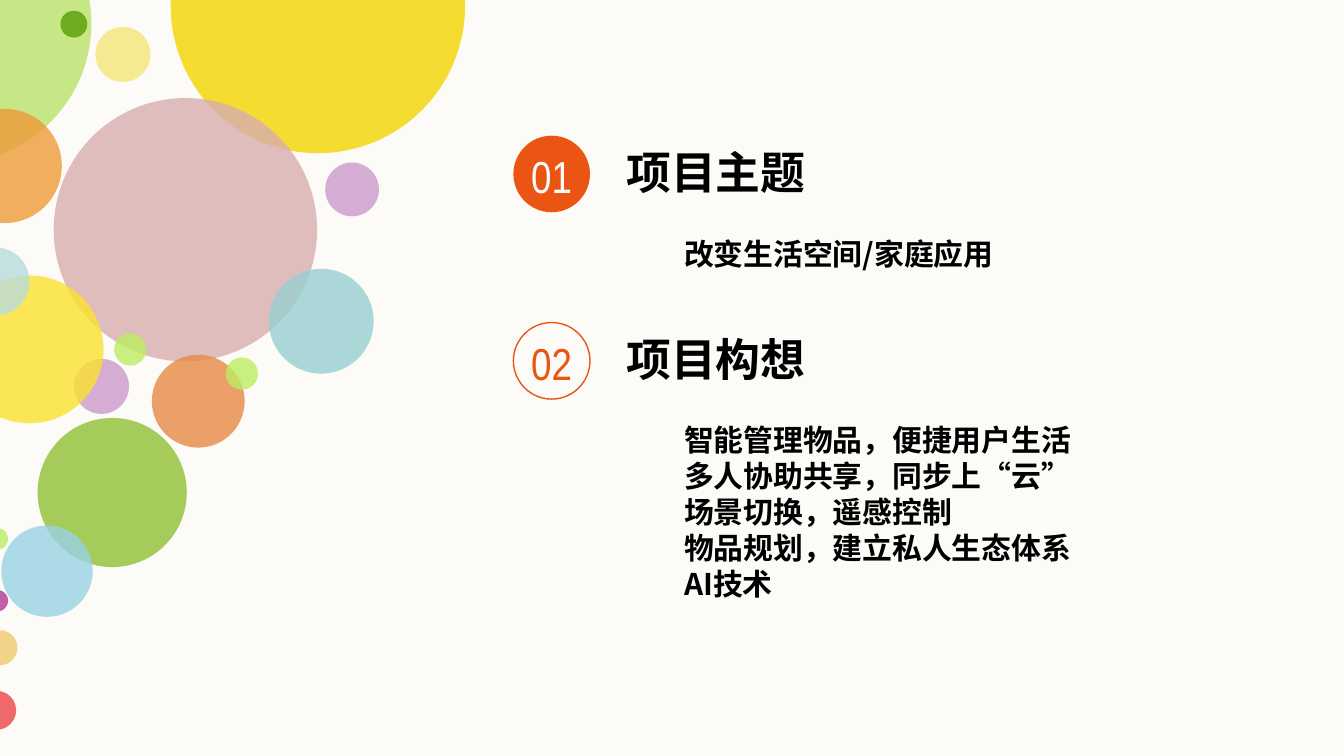
from pptx import Presentation
from pptx import util as u
from pptx.dml.color import RGBColor
from pptx.enum import shapes, text
from pptx.oxml.ns import qn
from lxml import etree

PAPER = RGBColor(0xFC, 0xFB, 0xF7)
INK = RGBColor(0, 0, 0)
ACCENT = RGBColor(0xEA, 0x55, 0x14)
LIME = RGBColor(0xBC, 0xED, 0x61)
LILAC = RGBColor(0xCB, 0x99, 0xCC)

CJK_FONT = "Noto Sans CJK SC"
NUMBER_FONT = "Arial Narrow"
WIDTH = u.Inches(10)
HEIGHT = WIDTH * 9 // 16
BADGE = 0.57
SECTION_LEFT, SECTION_TOP, SECTION_PITCH = 3.82, 1.01, 1.39

# Left, top, diameter (inches), colour, opacity (%), from back to front
BUBBLES = [
    (-1.39, -0.86, 2.07, RGBColor(0xBA, 0xE3, 0x6B), 80),
    (0.45, 0.08, 0.2, RGBColor(0x6E, 0xAB, 0x1F), 100),
    (-0.39, 0.81, 0.85, RGBColor(0xED, 0x9B, 0x38), 80),
    (0.71, 0.2, 0.41, RGBColor(0xF5, 0xEA, 0x91), 100),
    (1.27, -1.05, 2.19, RGBColor(0xF4, 0xD5, 0x00), 80),
    (0.4, 0.73, 1.96, RGBColor(0xD8, 0xAE, 0xAF), 80),
    (2, 2, 0.78, RGBColor(0x99, 0xCE, 0xD2), 80),
    (2.42, 1.21, 0.4, LILAC, 80),
    (1.13, 2.64, 0.69, RGBColor(0xE7, 0x8A, 0x47), 80),
    (0.28, 3.11, 1.11, RGBColor(0xA5, 0xCB, 0x5A), 100),
    (1.68, 2.66, 0.24, LIME, 80),
    (0.85, 2.48, 0.24, LIME, 80),
    (0.55, 2.67, 0.41, LILAC, 80),
    (-0.33, 2.05, 1.1, RGBColor(0xFB, 0xE2, 0x2D), 80),
    (-0.1, 3.93, 0.16, LIME, 80),
    (-0.1, 4.39, 0.16, RGBColor(0xB0, 0x38, 0x96), 80),
    (-0.13, 4.69, 0.26, RGBColor(0xF0, 0xCA, 0x6C), 80),
    (-0.17, 5.14, 0.29, RGBColor(0xEB, 0x45, 0x44), 80),
    (-0.29, 1.84, 0.51, RGBColor(0xB9, 0xDB, 0xDD), 80),
    (0.01, 3.91, 0.68, RGBColor(0x98, 0xD2, 0xE3), 80),
]

# Number, heading, lines, filled badge, heading and body placeholder indexes
SECTIONS = [
    ("01", "项目主题", ["改变生活空间/家庭应用"], True, 0, 2),
    ("02", "项目构想", ["智能管理物品，便捷用户生活", "多人协助共享，同步上“云”",
                    "场景切换，遥感控制", "物品规划，建立私人生态体系", "AI技术"], False, 1, 4),
]


def add_circle(page, left, top, size):
    circle = page.shapes.add_shape(
        shapes.MSO_SHAPE.OVAL, *map(u.Inches, (left, top, size, size)))
    circle.shadow.inherit = False
    circle.line.fill.background()
    return circle


def add_bubbles(page):
    for left, top, size, colour, opacity in BUBBLES:
        bubble = add_circle(page, left, top, size)
        bubble.fill.solid()
        bubble.fill.fore_color.rgb = colour
        if opacity < 100:
            tint = bubble.element.spPr.find(".//" + qn("a:srgbClr"))
            etree.SubElement(tint, qn("a:alpha"), val=str(opacity * 1000))


def place(box, left, top, width, height):
    box.left, box.top, box.width, box.height = map(u.Inches, (left, top, width, height))


def write(box, lines, size, inset=0.0):
    """Fill a placeholder with plain bold lines, without bullets."""
    frame = box.text_frame
    frame.word_wrap = True
    frame.auto_size = text.MSO_AUTO_SIZE.NONE
    frame.vertical_anchor = text.MSO_ANCHOR.TOP
    frame.margin_left = frame.margin_right = u.Inches(inset)
    frame.margin_top = frame.margin_bottom = u.Inches(inset / 2)
    frame.text = "\n".join(lines)
    for para in frame.paragraphs:
        para.alignment = text.PP_ALIGN.LEFT
        para.space_before = para.space_after = u.Pt(0)
        para.line_spacing = u.Pt(size * 1.2)
        font = para.font
        font.size, font.bold, font.name = u.Pt(size), True, CJK_FONT
        font.color.rgb = INK
        props = para._p.get_or_add_pPr()
        props.set("marL", "0")
        props.set("indent", "0")
        defaults = props.find(qn("a:defRPr"))
        etree.SubElement(defaults, qn("a:ea"), typeface=CJK_FONT)
        defaults.addprevious(etree.Element(qn("a:buNone")))


def add_badge(page, left, top, number, filled):
    badge = add_circle(page, left, top, BADGE)
    if filled:
        badge.fill.solid()
        badge.fill.fore_color.rgb = ACCENT
    else:
        badge.fill.background()
        badge.line.color.rgb = ACCENT
        badge.line.width = u.Pt(0.75)
    label = page.shapes.add_textbox(*map(u.Inches, (left, top + 0.1, BADGE, 0.4)))
    frame = label.text_frame
    frame.word_wrap = True
    frame.margin_left = frame.margin_right = frame.margin_top = frame.margin_bottom = 0
    frame.text = number
    para = frame.paragraphs[0]
    para.alignment = text.PP_ALIGN.CENTER
    para.font.size, para.font.name = u.Pt(24), NUMBER_FONT
    para.font.color.rgb = PAPER if filled else ACCENT


def add_section(page, left, top, section):
    number, heading, lines, filled, heading_idx, body_idx = section
    add_badge(page, left, top, number, filled)
    slots = {slot.placeholder_format.idx: slot for slot in page.placeholders}
    place(slots[heading_idx], left + 0.84, top + 0.07, 2.19, 0.4)
    write(slots[heading_idx], [heading], 24)
    place(slots[body_idx], left + 1.17, top + 0.69, 4.08, 0.1 + 0.27 * len(lines))
    write(slots[body_idx], lines, 16, inset=0.1)


def main():
    deck = Presentation()
    deck.slide_width, deck.slide_height = WIDTH, HEIGHT
    page = deck.slides.add_slide(deck.slide_layouts.get_by_name("Comparison"))
    page.background.fill.solid()
    page.background.fill.fore_color.rgb = PAPER
    add_bubbles(page)
    for row, section in enumerate(SECTIONS):
        add_section(page, SECTION_LEFT, SECTION_TOP + row * SECTION_PITCH, section)
    for slot in list(page.placeholders):
        if not slot.text_frame.text:
            slot.element.getparent().remove(slot.element)
    deck.save("out.pptx")


if __name__ == "__main__":
    main()
